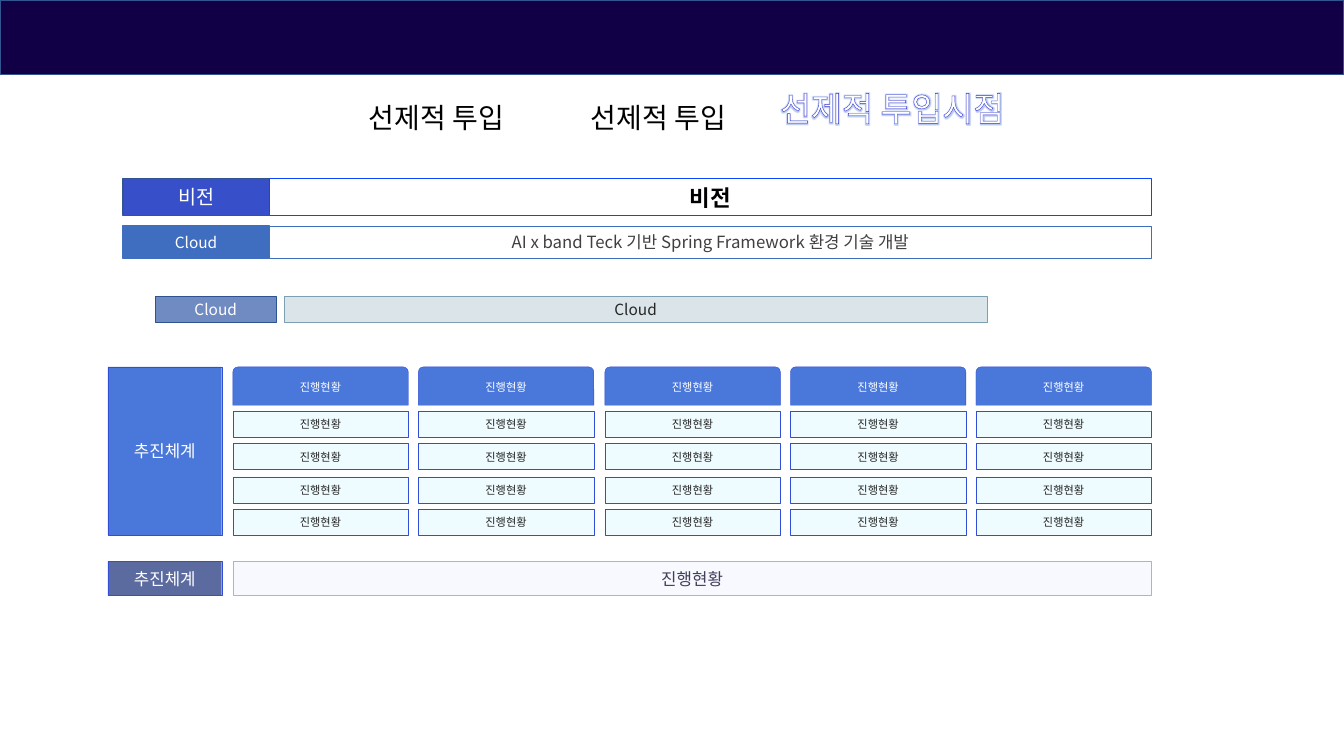
from dataclasses import dataclass

from lxml import etree
from pptx import Presentation
from pptx.dml.color import RGBColor
from pptx.enum.shapes import MSO_SHAPE
from pptx.enum.text import MSO_ANCHOR, PP_ALIGN
from pptx.oxml.ns import qn
from pptx.util import Pt

PX = 9144  # 100 px to the inch
RECT = MSO_SHAPE.RECTANGLE
ROUND = MSO_SHAPE.ROUND_2_SAME_RECTANGLE
MIDDLE = MSO_ANCHOR.MIDDLE
CENTER = PP_ALIGN.CENTER


@dataclass(frozen=True)
class Theme:
    font: str = "Noto Sans CJK KR"
    strong: str = "Arial"
    white: str = "FFFFFF"
    black: str = "000000"
    dark: str = "262626"
    gray: str = "404040"
    plum: str = "423F5B"
    navy: str = "120046"
    edge: str = "325491"
    royal: str = "374FC9"
    vivid: str = "0C45FC"
    steel: str = "3F6DBF"
    blue: str = "4A77DA"
    rim: str = "324DD6"
    mint: str = "EFFCFF"
    slate: str = "5B6B9F"
    pale: str = "F7F9FF"
    lilac: str = "A5B1ED"
    dusk: str = "708BC2"
    deep: str = "2F5291"
    mist: str = "DBE4E9"
    teal: str = "7CA0B2"
    stroke: str = "3535CF"
    tiny: int = 8
    small: int = 11
    body: int = 12
    label: int = 14
    vision: int = 16
    head: int = 20
    art: int = 24


T = Theme()


def place(box):
    return [round(v) * PX for v in box]


def write(frame, text, size, color, font=T.font, bold=False):
    frame.text = text
    run = frame.paragraphs[0].runs[0]
    run.font.size = Pt(size)
    run.font.bold = bold
    run.font.color.rgb = RGBColor.from_string(color)
    run.font.name = font
    props = run.font._element
    east = etree.Element(qn("a:ea"), typeface=font)
    props.find(qn("a:latin")).addnext(east)
    return props


def block(slide, box, fill, line, weight=0.25, kind=RECT):
    shape = slide.shapes.add_shape(kind, *place(box))
    shape.shadow.inherit = False
    shape.fill.solid()
    shape.fill.fore_color.rgb = RGBColor.from_string(fill)
    shape.line.color.rgb = RGBColor.from_string(line)
    shape.line.width = Pt(weight)
    return shape


def tile(slide, box, text, size, color, fill, line, weight=0.25, kind=RECT,
         font=T.font, bold=False):
    """Draw a block with centred text."""
    shape = block(slide, box, fill, line, weight, kind)
    frame = shape.text_frame
    frame.margin_top = frame.margin_bottom = 0
    frame.word_wrap = True
    frame.vertical_anchor = MIDDLE
    write(frame, text, size, color, font, bold)
    frame.paragraphs[0].alignment = CENTER
    return shape


def note(slide, box, text, size, color):
    frame = slide.shapes.add_textbox(*place(box)).text_frame
    frame.word_wrap = True
    return write(frame, text, size, color)


def tint(parent, color):
    fill = etree.SubElement(parent, qn("a:solidFill"))
    return etree.SubElement(fill, qn("a:srgbClr"), val=color)


def outline(props):
    """Give a run a coloured contour and a soft glow."""
    line = etree.Element(qn("a:ln"), w=str(Pt(1)))
    tint(line, T.stroke)
    props.insert(0, line)
    effects = etree.Element(qn("a:effectLst"))
    glow = etree.SubElement(effects, qn("a:glow"), rad=str(Pt(3)))
    color = etree.SubElement(glow, qn("a:srgbClr"), val=T.blue)
    etree.SubElement(color, qn("a:alpha"), val="40000")
    props.find(qn("a:solidFill")).addnext(effects)


def heads(slide, box):
    left, top, width, height = box
    for shift in (0, 220):
        note(slide, (left + shift, top + 13, 181, 44),
             "선제적 투입", T.head, T.black)
    art = note(slide, (left + 408, top, width - 408, height),
               "선제적 투입시점", T.art, T.white)
    outline(art)


def goals(slide, box):
    left, top, width, height = box
    side = 145
    low, short = top + 47, 32
    main = left + side, width - side
    tile(slide, (left, top, side, height - 47), "비전",
         T.label, T.white, T.royal, T.edge, 0.75)
    tile(slide, (left, low, side, short), "Cloud",
         T.small, T.white, T.steel, T.steel, 0.75)
    tile(slide, (main[0], top, main[1], height - 47), "비전",
         T.vision, T.black, T.white, T.vivid, 0.75, font=T.strong, bold=True)
    tile(slide, (main[0], low, main[1], short),
         "AI x band Teck 기반 Spring Framework 환경 기술 개발",
         T.body, T.gray, T.white, T.steel)


def cloud(slide, box):
    left, top, width, height = box
    side, gap = 120, 8
    tile(slide, (left, top, side, height), "Cloud",
         T.small, T.white, T.dusk, T.deep)
    tile(slide, (left + side + gap, top, width - side - gap, height), "Cloud",
         T.small, T.dark, T.mist, T.teal)


def grid(slide, box, cols=5, rows=4):
    """Draw rounded column heads with evenly spaced cells below."""
    left, top, width, height = box
    wide, tall, cell, first = 174, 38, 26, 44
    across = (width - wide) / (cols - 1)
    down = (height - first - cell) / (rows - 1)
    for col in range(cols):
        x = left + col * across
        head = tile(slide, (x, top, wide, tall), "진행현황",
                    T.tiny, T.white, T.blue, T.rim, kind=ROUND)
        head.adjustments[0] = 0.13
        for row in range(rows):
            tile(slide, (x, top + first + row * down, wide, cell),
                 "진행현황", T.tiny, T.dark, T.mint, T.rim)


def system(slide, box):
    left, top, width, height = box
    side, inset, upper, bar = 113, 124, 167, 34
    low = top + height - bar
    tile(slide, (left, top, side, upper), "추진체계",
         T.body, T.white, T.blue, T.rim)
    grid(slide, (left + inset, top, width - inset, upper))
    tile(slide, (left, low, side, bar), "추진체계",
         T.body, T.white, T.slate, T.rim)
    tile(slide, (left + inset, low, width - inset, bar), "진행현황",
         T.body, T.plum, T.pale, T.lilac)


def main():
    deck = Presentation()
    deck.slide_width, deck.slide_height = place((1333, 750))
    slide = deck.slides.add_slide(deck.slide_layouts[6])
    block(slide, (0, 0, 1333, 74), T.navy, T.edge, 1)
    heads(slide, (356, 82, 752, 50))
    goals(slide, (122, 177, 1020, 84))
    cloud(slide, (154, 294, 825, 26))
    system(slide, (107, 364, 1035, 227))
    deck.save("out.pptx")


if __name__ == "__main__":
    main()
